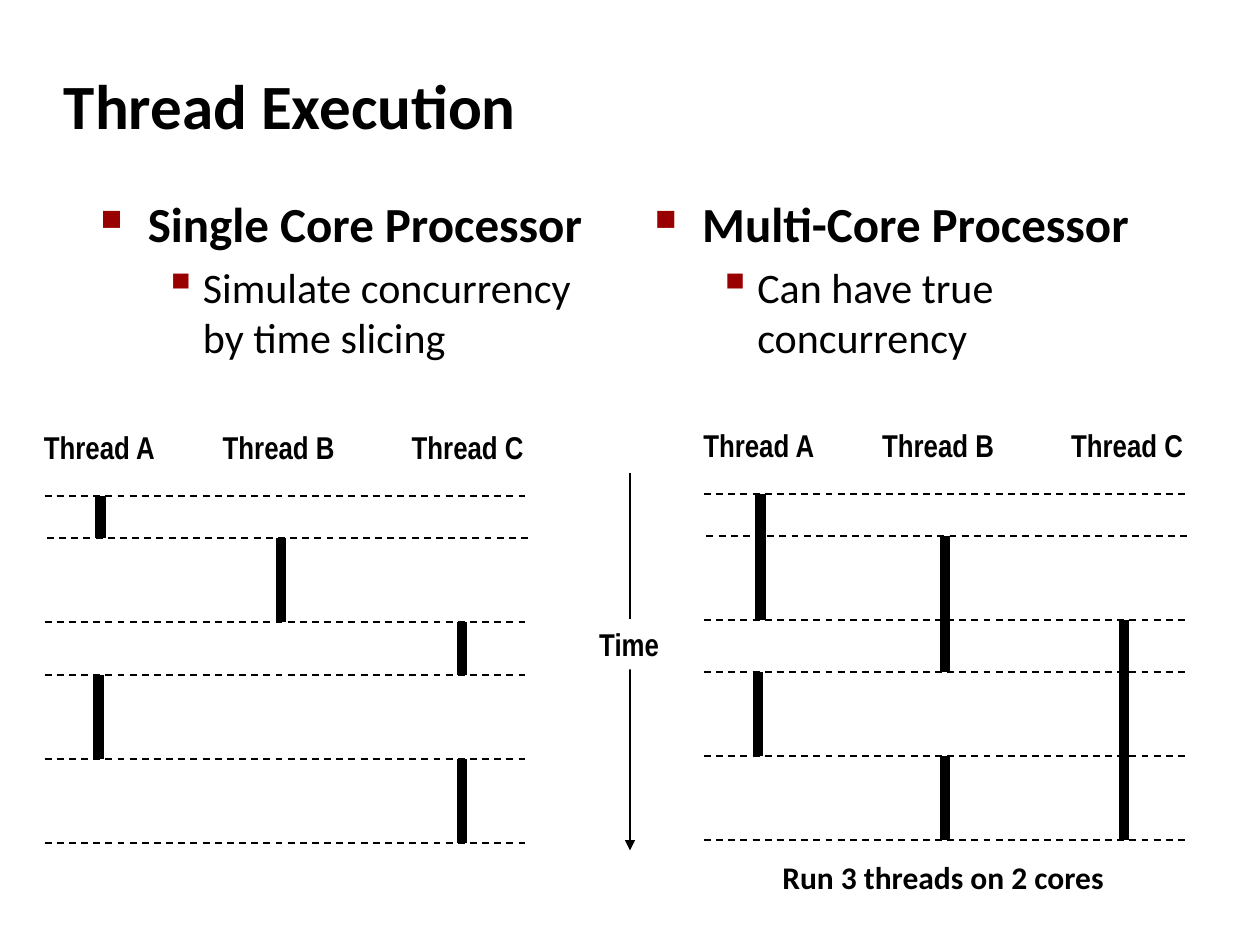
import pptx
import pptx.util
import pptx.dml.color
import pptx.enum.dml
import pptx.enum.shapes
import pptx.enum.text
import pptx.oxml.ns
from lxml import etree

Pt = pptx.util.Pt
ANCHOR = pptx.enum.text.MSO_ANCHOR
ALIGN = pptx.enum.text.PP_ALIGN


def color(hex_code):
    """Turn a hex string into a colour."""
    return pptx.dml.color.RGBColor.from_string(hex_code)


def add_xml(parent, tag, **attributes):
    """Append a DrawingML element to its parent."""
    return etree.SubElement(parent, pptx.oxml.ns.qn(tag), attributes)


class ThreadSlide:
    """Style and drawing methods for the current slide."""

    INK, PAPER, BULLET = "000000", "FFFFFF", "990000"
    BODY, LABEL = "Calibri", "Arial Narrow"

    def __init__(self, slide):
        """Keep the slide to draw on."""
        self.slide = slide

    def style(self, paragraph, text, size, font, bold=True):
        """Fill a paragraph and set its font."""
        paragraph.text = text
        paragraph.font.size = Pt(size)
        paragraph.font.name = font
        paragraph.font.bold = bold
        paragraph.font.color.rgb = color(self.INK)

    def text(self, text, left, top, width, height=28.8, size=18, font=LABEL,
             anchor=ANCHOR.TOP, align=ALIGN.LEFT, fill=None):
        """Add a single line of text."""
        box = self.slide.shapes.add_textbox(Pt(left), Pt(top), Pt(width), Pt(height))
        box.text_frame.word_wrap = False
        box.text_frame.vertical_anchor = anchor
        if fill:
            box.fill.solid()
            box.fill.fore_color.rgb = color(fill)
        line = box.text_frame.paragraphs[0]
        line.alignment = align
        self.style(line, text, size, font)

    def bullets(self, heading, detail, left):
        """Add a column with a heading bullet and a detail bullet."""
        box = self.slide.shapes.add_textbox(Pt(left), Pt(107.3), Pt(304.6), Pt(391.7))
        frame = box.text_frame
        frame.word_wrap = True
        levels = ((heading, 28, True, 27, 27, "■", "60000"),
                  (detail, 24, False, 58.5, 22.5, "▪", "110000"))
        for level, (text, size, bold, margin, hang, mark, scale) in enumerate(levels):
            item = frame.add_paragraph() if level else frame.paragraphs[0]
            self.style(item, text, size, self.BODY, bold)
            item.level = level
            item.space_before = Pt(size * 0.2)
            props = item._p.get_or_add_pPr()
            props.set("marL", str(Pt(margin)))
            props.set("indent", str(-Pt(hang)))
            tint = etree.Element(pptx.oxml.ns.qn("a:buClr"))
            add_xml(tint, "a:srgbClr", val=self.BULLET)
            ratio = etree.Element(pptx.oxml.ns.qn("a:buSzPct"), val=scale)
            glyph = etree.Element(pptx.oxml.ns.qn("a:buChar"), char=mark)
            spacing = props.find(pptx.oxml.ns.qn("a:spcBef"))
            for element in (glyph, ratio, tint):
                spacing.addnext(element)

    def line(self, x1, y1, x2, y2, weight=1, dashed=False, arrow=False):
        """Add a straight line, optionally dashed or with an arrowhead."""
        rule = self.slide.shapes.add_connector(
            pptx.enum.shapes.MSO_CONNECTOR.STRAIGHT, Pt(x1), Pt(y1), Pt(x2), Pt(y2))
        rule.line.width = Pt(weight)
        rule.line.color.rgb = color(self.INK)
        if dashed:
            rule.line.dash_style = pptx.enum.dml.MSO_LINE.DASH
        if arrow:
            add_xml(rule.line._get_or_add_ln(), "a:tailEnd", type="triangle")
        add_xml(rule._element.spPr, "a:effectLst")

    def timeline(self, left, top, runs):
        """Draw three thread labels, the time levels and the running bars."""
        for name, offset in zip("ABC", (0, 102.2, 210.2)):
            self.text(f"Thread {name}", left + offset, top, 79)
        levels = [top + 42.4 + step for step in (0, 24, 72, 102, 150, 198)]
        for x, start, end in runs:
            self.line(x, levels[start], x, levels[end], weight=6)
        for index, y in enumerate(levels):
            start = left + (8.9 if index == 1 else 7.5)
            self.line(start, y, start + 274.8, y, dashed=True)


deck = pptx.Presentation()
deck.slide_width, deck.slide_height = Pt(720), Pt(540)
page = ThreadSlide(deck.slides.add_slide(deck.slide_layouts[6]))

page.text("Thread Execution", 29.5, 29.5, 597.6, 59.8, size=36,
          font=page.BODY, anchor=ANCHOR.MIDDLE)
page.bullets("Single Core Processor", "Simulate concurrency by time slicing", 50.4)
page.bullets("Multi-Core Processor", "Can have true concurrency", 367.2)

page.line(360, 270, 360, 486, arrow=True)
page.text("Time", 335, 353.8, 49, align=ALIGN.CENTER, fill=page.PAPER)

# Each run: x position, first time level, last time level
single_core = ((57.5, 0, 1), (160.5, 1, 2), (264, 2, 3), (56.3, 3, 4), (264, 4, 5))
multi_core = ((434.5, 0, 2), (540, 1, 3), (642.2, 2, 5), (433.3, 3, 4), (540, 4, 5))
page.timeline(18, 241.2, single_core)
page.timeline(394.8, 239.7, multi_core)
page.text("Run 3 threads on 2 cores", 440, 486.8, 200, font=page.BODY)

deck.save("out.pptx")
